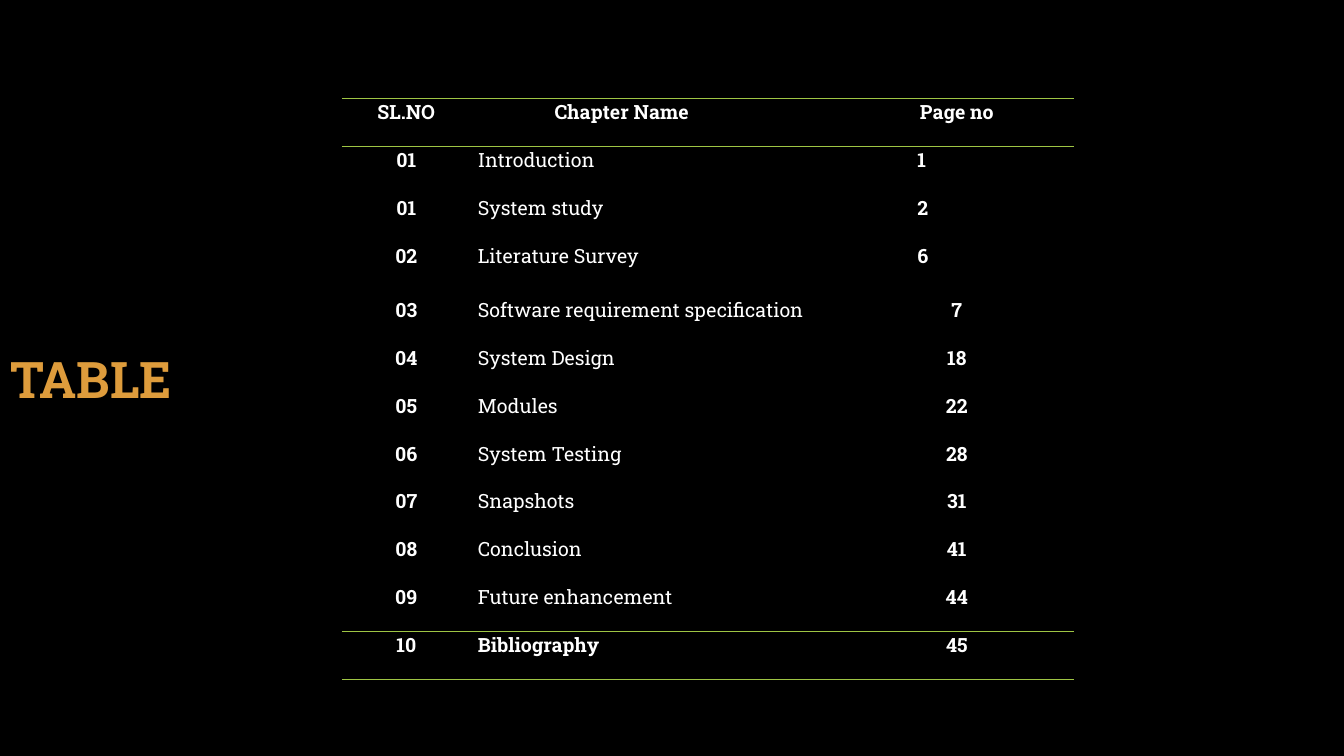
from lxml import etree
from pptx import Presentation
from pptx.dml.color import RGBColor
from pptx.enum.text import MSO_ANCHOR, PP_ALIGN
from pptx.oxml.ns import qn
from pptx.util import Inches, Pt

LEFT, CENTER = PP_ALIGN.LEFT, PP_ALIGN.CENTER
MIDDLE = MSO_ANCHOR.MIDDLE
COLORS = {"back": "000000", "title": "DE9C3C", "text": "FFFFFF", "rule": "9EC544"}
FONT = "Roboto Slab"
PLAIN = "{2D5ABB26-0587-4C30-8999-92F81FD0307C}"  # no style, no grid

WIDTHS = [1.28, 3.66, 2.32]
TALL = 3  # the one row higher than the rest
INDENT = {"head": 0.83, "name": 0.07, "page": 0.77}
ROWS = [
    ("SL.NO", "Chapter Name", "Page no"),
    ("01", "Introduction", "1"),
    ("01", "System study", "2"),
    ("02", "Literature Survey", "6"),
    ("03", "Software requirement specification", "7"),
    ("04", "System Design", "18"),
    ("05", "Modules", "22"),
    ("06", "System Testing", "28"),
    ("07", "Snapshots", "31"),
    ("08", "Conclusion", "41"),
    ("09", "Future enhancement", "44"),
    ("10", "Bibliography", "45"),
]
LAST = len(ROWS) - 1


def style(para, size, color, bold, align):
    para.alignment = align
    para.font.name = FONT
    para.font.size = Pt(size)
    para.font.bold = bold
    para.font.color.rgb = RGBColor.from_string(COLORS[color])


def rule(cell):
    """Draw a thin line above and below the cell."""
    props = cell._tc.get_or_add_tcPr()
    for side in ("a:lnT", "a:lnB"):
        line = etree.SubElement(props, qn(side), w=str(Pt(1)))
        fill = etree.SubElement(line, qn("a:solidFill"))
        etree.SubElement(fill, qn("a:srgbClr"), val=COLORS["rule"])


deck = Presentation()
deck.slide_width, deck.slide_height = Inches(13.33), Inches(7.5)
slide = deck.slides.add_slide(deck.slide_layouts[5])
slide.background.fill.solid()
slide.background.fill.fore_color.rgb = RGBColor.from_string(COLORS["back"])

# Title
title = slide.shapes.title
title.left = title.top = 0
title.width, title.height = deck.slide_width, deck.slide_height
frame = title.text_frame
frame.text = "TABLE"
frame.vertical_anchor = MIDDLE
frame.margin_left = frame.margin_right = Inches(0.1)
frame.margin_top = frame.margin_bottom = 0
style(frame.paragraphs[0], 36, "title", True, LEFT)

# Table of contents
holder = slide.shapes.add_table(
    len(ROWS), len(WIDTHS), Inches(3.39), Inches(0.98), Inches(sum(WIDTHS)), Inches(5.76)
)
table = holder.table
table.first_row = table.horz_banding = False
table._tbl.tblPr.find(qn("a:tableStyleId")).text = PLAIN
for col, width in zip(table.columns, WIDTHS):
    col.width = Inches(width)

for r, texts in enumerate(ROWS):
    table.rows[r].height = Inches(0.54 if r == TALL else 0.475)
    for c, text in enumerate(texts):
        cell = table.cell(r, c)
        cell.text = text
        cell.margin_left = cell.margin_right = cell.margin_top = cell.margin_bottom = 0
        align = CENTER
        if c == 1:
            align = LEFT
            cell.margin_left = Inches(INDENT["name" if r else "head"])
        elif c == 2 and 1 <= r <= TALL:
            align = LEFT
            cell.margin_left = Inches(INDENT["page"])
        para = cell.text_frame.paragraphs[0]
        style(para, 14, "text", c != 1 or r in (0, LAST), align)
        if r in (0, LAST):
            rule(cell)
        cell.fill.background()

deck.save("out.pptx")
